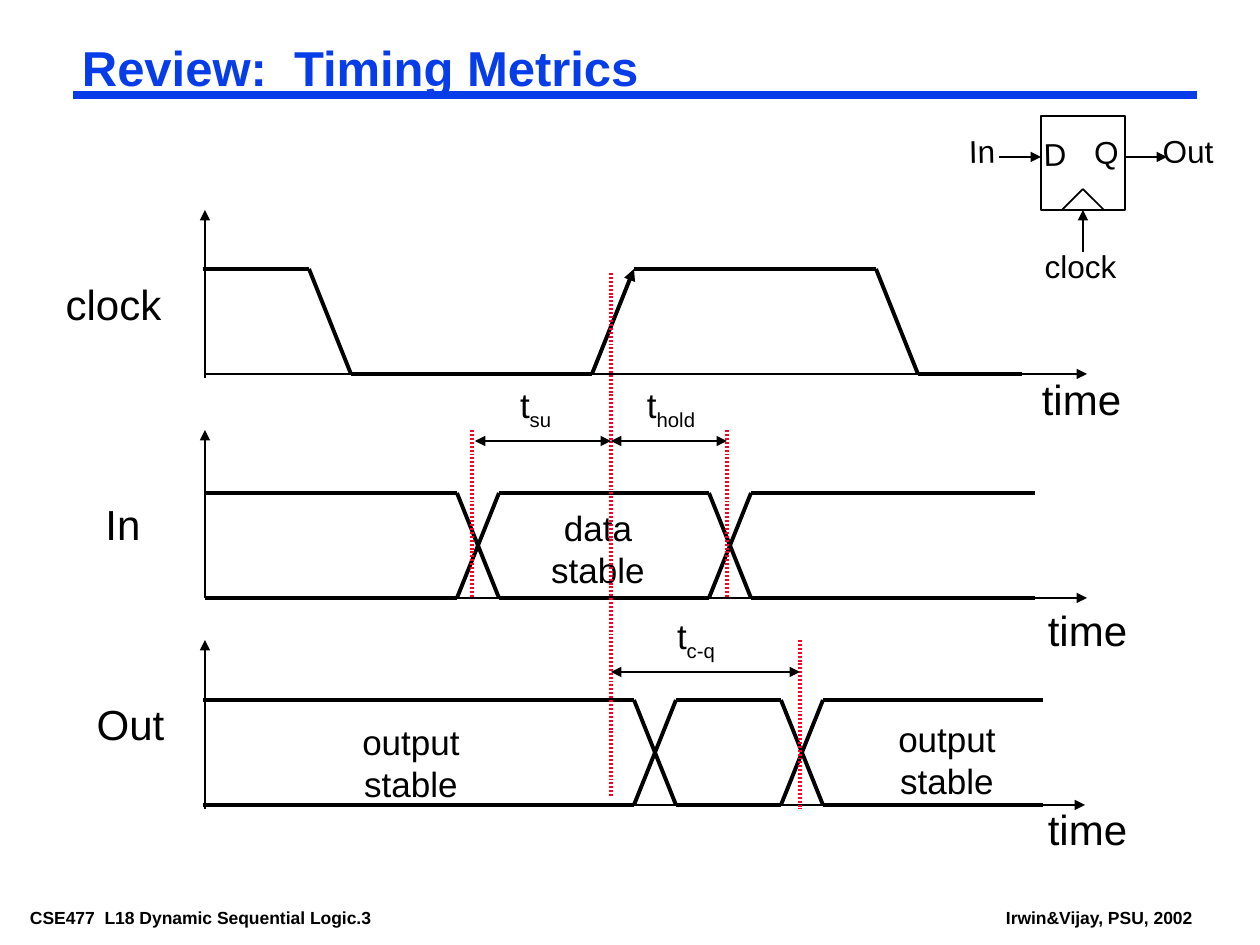
from itertools import pairwise

from lxml import etree
from pptx import Presentation
from pptx.dml.color import RGBColor
from pptx.enum.shapes import MSO_CONNECTOR, MSO_SHAPE
from pptx.enum.text import MSO_AUTO_SIZE, PP_ALIGN
from pptx.oxml.ns import qn
from pptx.util import Pt

PX = 914400 / 126
FONT = "Arial"
BLACK = RGBColor(0x00, 0x00, 0x00)
BLUE = RGBColor(0x06, 0x3D, 0xE8)
RED = RGBColor(0xFC, 0x01, 0x28)
STRAIGHT = MSO_CONNECTOR.STRAIGHT
RECTANGLE = MSO_SHAPE.RECTANGLE
FIT = MSO_AUTO_SIZE.SHAPE_TO_FIT_TEXT
LEFT, CENTER = PP_ALIGN.LEFT, PP_ALIGN.CENTER
BOTTOM_SIDE = 2
THIN, THICK = 1, 2.25
EDGE = 42


def emu(*lengths):
    return [round(length * PX) for length in lengths]


class TimingSlide:
    def __init__(self, slide):
        self.shapes = slide.shapes

    def text(self, box, lines, size, color=BLACK, bold=False, align=CENTER,
             wrap=False, inset=(6, 6), spacing=None, subscript=None, rotation=0):
        label = self.shapes.add_textbox(*emu(*box))
        label.rotation = rotation
        frame = label.text_frame
        frame.word_wrap = wrap
        frame.auto_size = FIT
        frame.margin_left = frame.margin_right = emu(inset[0])[0]
        frame.margin_top = frame.margin_bottom = emu(inset[1])[0]
        for index, line in enumerate(lines):
            paragraph = frame.add_paragraph() if index else frame.paragraphs[0]
            paragraph.alignment = align
            if spacing:
                paragraph.line_spacing = spacing
            self.run(paragraph, line, size, color, bold)
        if subscript:
            lowered = self.run(paragraph, subscript, size, color, bold)
            lowered.font._element.set("baseline", "-25000")

    def run(self, paragraph, wording, size, color, bold):
        run = paragraph.add_run()
        run.text = wording
        run.font.name = FONT
        run.font.size = Pt(size)
        run.font.bold = bold
        run.font.color.rgb = color
        return run

    def line(self, start, end, width=THIN, color=BLACK, head=False, tail=False, dotted=False):
        connector = self.shapes.add_connector(STRAIGHT, *emu(*start, *end))
        connector.line.width = Pt(width)
        connector.line.color.rgb = color
        outline = connector.line._get_or_add_ln()
        if dotted:
            dashes = etree.SubElement(outline, qn("a:custDash"))
            etree.SubElement(dashes, qn("a:ds"), d="50000", sp="50000")
        for tag, wanted in (("a:headEnd", head), ("a:tailEnd", tail)):
            if wanted:
                etree.SubElement(outline, qn(tag)).set("type", "triangle")
        etree.SubElement(connector._element.spPr, qn("a:effectLst"))
        return connector

    def box(self, *bounds):
        block = self.shapes.add_shape(RECTANGLE, *emu(*bounds))
        block.shadow.inherit = False
        block.fill.background()
        block.line.color.rgb = BLACK
        block.line.width = Pt(THIN)
        return block

    def axes(self, top, bottom, base, left, right):
        self.line((205, bottom), (205, top), tail=True)
        self.line((left, base), (right, base), tail=True)

    def wave(self, points):
        for start, end in pairwise(points):
            self.line(start, end, THICK, tail=end[1] < start[1])

    def bus(self, high, low, left, right, crossings):
        starts = [left] + [x + EDGE for x in crossings]
        for start, end in zip(starts, crossings + [right]):
            for level in (high, low):
                self.line((start, level), (end, level), THICK)
        for x in crossings:
            self.line((x, low), (x + EDGE, high), THICK)
            self.line((x, high), (x + EDGE, low), THICK)

    def marker(self, x, top, bottom):
        self.line((x, top), (x, bottom), THICK, RED, dotted=True)

    def interval(self, start, end, y, label_box, subscript):
        self.text(label_box, ["t"], 20, align=LEFT, wrap=True, inset=(12, 6),
                  subscript=subscript)
        self.line((start, y), (end, y), head=True, tail=True)


def main():
    deck = Presentation()
    deck.slide_width, deck.slide_height = emu(1260, 945)
    page = TimingSlide(deck.slides.add_slide(deck.slide_layouts[6]))

    for box, footer in (((21, 903, 433, 28), "CSE477  L18 Dynamic Sequential Logic.3"),
                        ((997, 903, 205, 28), "Irwin&Vijay, PSU, 2002")):
        page.text(box, [footer], 10, bold=True, align=LEFT, inset=(9, 4))
    page.line((73, 95), (1197, 95), 4.5, BLUE)
    page.text((73, 42, 1124, 58), ["Review:  Timing Metrics"], 28, BLUE, True, LEFT,
              True, (9, 4), 0.87)

    page.axes(210, 378, 374, 205, 1087)
    page.axes(430, 598, 598, 205, 1087)
    page.axes(640, 809, 805, 203, 1085)

    page.wave([(203, 269), (309, 269), (351, 374), (592, 374),
               (634, 269), (876, 269), (918, 374), (1022, 374)])
    page.bus(493, 598, 205, 1035, [457, 709])
    page.bus(700, 805, 203, 1043, [634, 781])

    for box, wording in (((53, 273, 121, 63), "clock"), ((93, 493, 60, 63), "In"),
                         ((84, 693, 93, 63), "Out"), ((1029, 368, 105, 63), "time"),
                         ((1035, 599, 105, 63), "time"), ((1035, 798, 105, 63), "time")):
        page.text(box, [wording], 24)
    for box, state in (((539, 500, 118, 97), "data"), ((350, 714, 122, 97), "output"),
                       ((886, 711, 122, 97), "output")):
        page.text(box, [state, "stable"], 20)

    page.text((1032, 241, 97, 50), ["clock"], 18)
    flip_flop = page.box(1041, 116, 84, 94)
    clock_input = page.line((1083, 252), (1083, 210), tail=True)
    clock_input.end_connect(flip_flop, BOTTOM_SIDE)
    for corner in (1062, 1104):
        page.line((1083, 189), (corner, 210))
    for start in (999, 1125):
        page.line((start, 157), (start + 42, 157), tail=True)
    for box, pin in (((1031, 129, 48, 50), "D"), ((1082, 127, 49, 50), "Q"),
                     ((956, 126, 52, 50), "In"), ((1150, 126, 76, 50), "Out")):
        page.text(box, [pin], 18, rotation=-1.1)

    for x, top, bottom in ((472, 430, 598), (611, 273, 798),
                           (727, 430, 598), (800, 640, 809)):
        page.marker(x, top, bottom)
    page.interval(475, 611, 441, (508, 378, 70, 60), "su")
    page.interval(611, 727, 441, (635, 378, 90, 60), "hold")
    page.interval(611, 800, 672, (665, 609, 80, 60), "c-q")

    deck.save("out.pptx")


if __name__ == "__main__":
    main()
